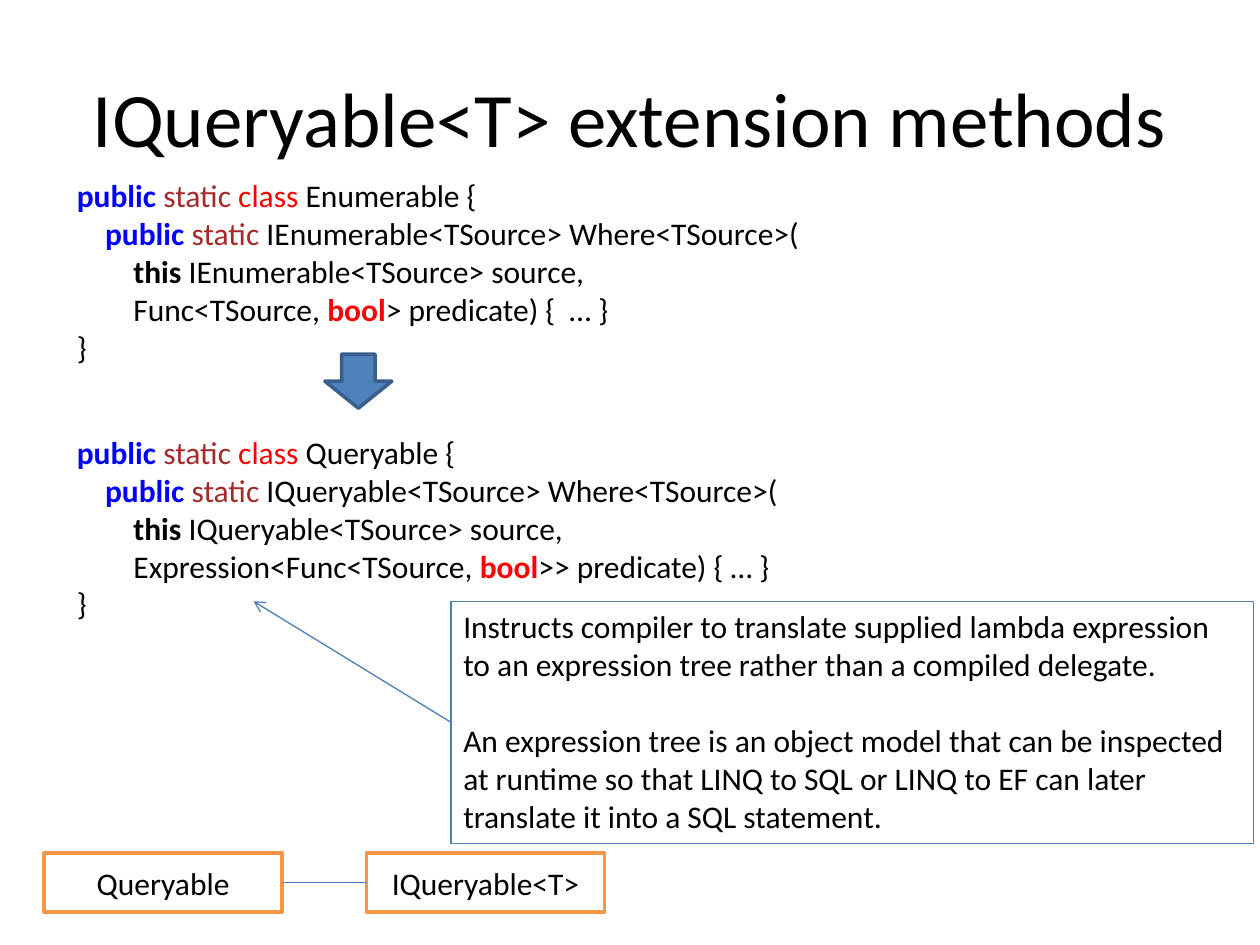
from lxml.etree import SubElement
from pptx import Presentation
from pptx.dml.color import RGBColor
from pptx.enum.shapes import MSO_CONNECTOR as Connector, MSO_SHAPE as Shape
from pptx.enum.text import MSO_ANCHOR as Anchor, PP_ALIGN as Align
from pptx.oxml.ns import qn
from pptx.util import Cm, Pt

FONT = "Calibri"
BLACK, WHITE, BLUE, BROWN, RED = "000000", "FFFFFF", "0000FF", "A52A2A", "FF0000"
ACCENT, ARROW_EDGE, LINE, ORANGE = "4F81BD", "3A5F8C", "4B7EBC", "F79646"
TOP, LEFT, BOTTOM, RIGHT = range(4)
INDENT = 0.57


def color(value):
    return RGBColor.from_string(value)


def add_span(para, text, size=18, fill=BLACK, bold=False):
    span = para.add_run()
    span.text = text
    font = span.font
    font.name, font.size, font.bold = FONT, Pt(size), bold
    font.color.rgb = color(fill)


def add_lines(para, text, **style):
    """Fill a paragraph with text whose lines are parted by line breaks."""
    for number, line in enumerate(text.split("\n")):
        if number:
            para.add_line_break()
        add_span(para, line, **style)


def add_text_box(page, left, top, width, height, wrap=True):
    box = page.shapes.add_textbox(Cm(left), Cm(top), Cm(width), Cm(height))
    box.text_frame.word_wrap = wrap
    return box


def add_title(page, text):
    frame = add_text_box(page, 1.27, 0.76, 22.86, 3.18).text_frame
    frame.vertical_anchor = Anchor.MIDDLE
    frame.paragraphs[0].alignment = Align.CENTER
    add_span(frame.paragraphs[0], text, size=44)


def add_code(page, top, width, class_name, predicate):
    """Show a static class with its Where method; predicate is the type around bool."""
    before, after = predicate
    sequence = f"I{class_name}<TSource>"
    public = ("public ", {"fill": BLUE, "bold": True})
    static = ("static ", {"fill": BROWN})
    lines = [
        (0, [public, static, ("class ", {"fill": RED}), (f"{class_name} {{", {})]),
        (1, [public, static, (f"{sequence} Where<TSource>(", {})]),
        (2, [("this", {"bold": True}), (f" {sequence} source,", {})]),
        (2, [(before, {}), ("bool", {"fill": RED, "bold": True}), (after, {})]),
        (0, [("}", {})]),
    ]
    frame = add_text_box(page, 1.3, top, width, 4.11).text_frame
    for number, (level, spans) in enumerate(lines):
        para = frame.add_paragraph() if number else frame.paragraphs[0]
        para._p.get_or_add_pPr().set("marL", str(Cm(level * INDENT)))
        for text, style in spans:
            add_span(para, text, **style)


def add_callout(page, *texts):
    box = add_text_box(page, 9.09, 12.12, 16.18, 4.88, wrap=False)
    box.line.color.rgb = color(LINE)
    box.line.width = Pt(0.75)
    for number, text in enumerate(texts):
        para = box.text_frame.add_paragraph() if number else box.text_frame.paragraphs[0]
        if number:
            para.space_before = Pt(22)
        add_lines(para, text)
    return box


def add_block(page, kind, left, top, width, height, fill, line, text=""):
    block = page.shapes.add_shape(kind, Cm(left), Cm(top), Cm(width), Cm(height))
    block.shadow.inherit = False
    block.fill.solid()
    block.fill.fore_color.rgb = color(fill)
    block.line.color.rgb = color(line)
    block.line.width = Pt(2)
    if text:
        block.text_frame.vertical_anchor = Anchor.MIDDLE
        para = block.text_frame.paragraphs[0]
        para.alignment = Align.CENTER
        add_span(para, text)
    return block


def add_link(page, start, start_side, x=0, y=0, end=None, end_side=LEFT):
    """Join a shape to another shape, or point with an arrow at (x, y)."""
    link = page.shapes.add_connector(Connector.STRAIGHT, 0, 0, Cm(x), Cm(y))
    link.begin_connect(start, start_side)
    link.line.color.rgb = color(LINE)
    link.line.width = Pt(0.75)
    if end is not None:
        link.end_connect(end, end_side)
    else:
        SubElement(link.line._get_or_add_ln(), qn("a:tailEnd"), type="arrow")
    SubElement(link._element.spPr, qn("a:effectLst"))


def main():
    deck = Presentation()
    deck.slide_width, deck.slide_height = Cm(25.4), Cm(19.05)
    page = deck.slides.add_slide(deck.slide_layouts[6])

    add_title(page, "IQueryable<T> extension methods")
    queryable, interface = [
        add_block(page, Shape.RECTANGLE, left, 17.2, 4.8, 1.19, WHITE, ORANGE, text)
        for left, text in ((0.89, "Queryable"), (7.39, "IQueryable<T>"))
    ]
    add_link(page, queryable, RIGHT, end=interface)

    add_code(page, 8.61, 16.61, "Queryable",
             ("Expression<Func<TSource, ", ">> predicate) { … }"))
    callout = add_callout(
        page,
        "Instructs compiler to translate supplied lambda expression\n"
        "to an expression tree rather than a compiled delegate.",
        "An expression tree is an object model that can be inspected\n"
        "at runtime so that LINQ to SQL or LINQ to EF can later\n"
        "translate it into a SQL statement.",
    )
    add_link(page, callout, LEFT, x=5.11, y=12.12)

    add_code(page, 3.43, 15.19, "Enumerable",
             ("Func<TSource, ", "> predicate) {  … }"))
    add_block(page, Shape.DOWN_ARROW, 6.55, 7.14, 1.35, 1.09, ACCENT, ARROW_EDGE)

    deck.save("out.pptx")


if __name__ == "__main__":
    main()
